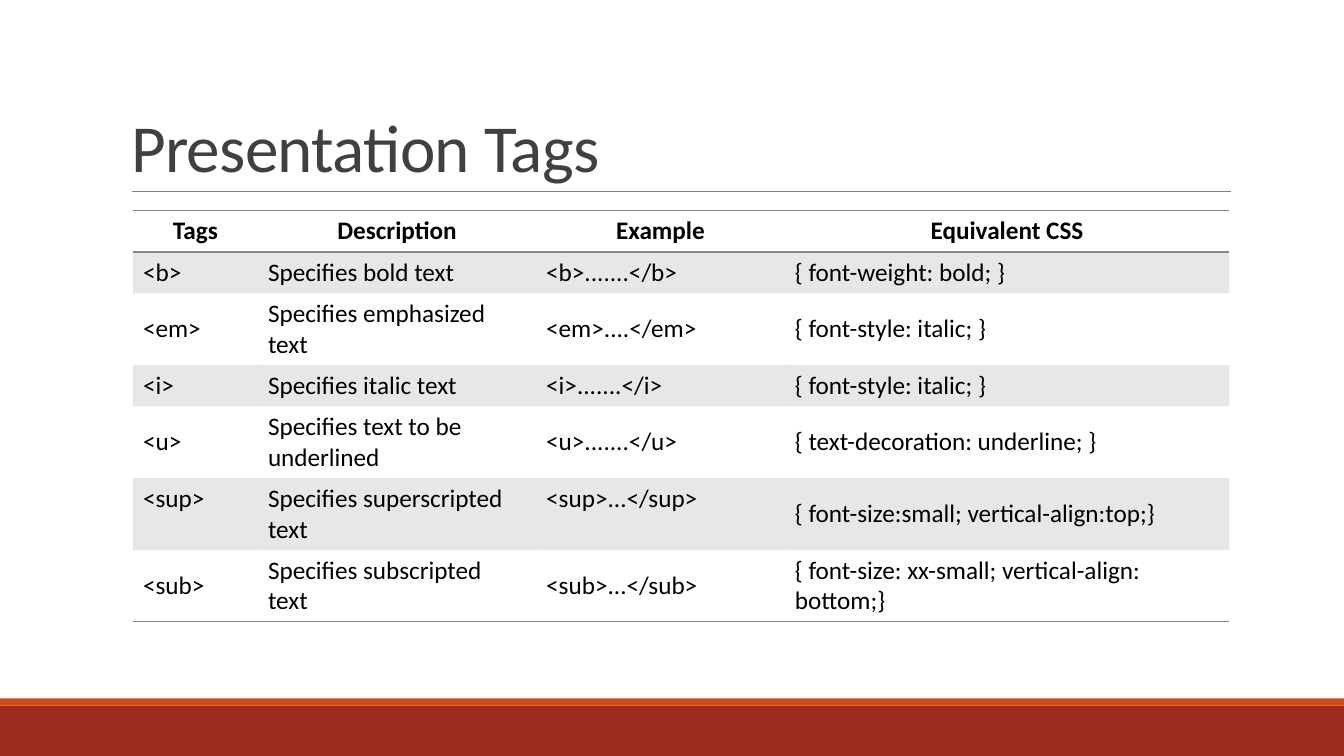
from typing import NamedTuple

from lxml import etree
from pptx import Presentation
from pptx.dml.color import RGBColor
from pptx.enum.shapes import MSO_CONNECTOR, MSO_SHAPE
from pptx.enum.text import MSO_ANCHOR, MSO_AUTO_SIZE, PP_ALIGN
from pptx.oxml import parse_xml
from pptx.oxml.ns import nsdecls, qn
from pptx.util import Cm, Pt

RECT = MSO_SHAPE.RECTANGLE
STRAIGHT = MSO_CONNECTOR.STRAIGHT
TOP, MIDDLE, BOTTOM = MSO_ANCHOR.TOP, MSO_ANCHOR.MIDDLE, MSO_ANCHOR.BOTTOM
LEFT, CENTER = PP_ALIGN.LEFT, PP_ALIGN.CENTER
NO_AUTOFIT = MSO_AUTO_SIZE.NONE

DARK_RED = RGBColor(0x9B, 0x2D, 0x1F)
ORANGE = RGBColor(0xD3, 0x48, 0x17)
GRAY = RGBColor(0x80, 0x80, 0x80)
TITLE_GRAY = RGBColor(0x40, 0x40, 0x40)
BLACK = RGBColor(0, 0, 0)
TAUPE = RGBColor(0x91, 0x84, 0x85)

FONT = "Calibri"
PLAIN_TABLE_STYLE = "{2D5ABB26-0587-4C30-8999-92F81FD0307C}"
BAND_ALPHA = 20000
BORDER_WIDTH = Pt(1)
ONE_LINE, TWO_LINES = 1.04, 1.81


class Bar(NamedTuple):
    top: float
    height: float
    color: RGBColor


class Row(NamedTuple):
    texts: tuple[str, str, str, str]
    height: float
    anchors: tuple = (MIDDLE,) * 4


BARS = [Bar(17.78, 1.27, DARK_RED), Bar(17.6, 0.18, ORANGE)]
COLUMN_WIDTHS = [3.15, 7.01, 6.27, 11.2]
ROWS = [
    Row(("Tags", "Description", "Example", "Equivalent CSS"), ONE_LINE, (TOP,) * 4),
    Row(("<b>", "Specifies bold text", "<b>.......</b>",
         "{ font-weight: bold; }"), ONE_LINE),
    Row(("<em>", "Specifies emphasized text", "<em>....</em>",
         "{ font-style: italic; }"), TWO_LINES),
    Row(("<i>", "Specifies italic text", "<i>.......</i>",
         "{ font-style: italic; }"), ONE_LINE),
    Row(("<u>", "Specifies text to be underlined", "<u>.......</u>",
         "{ text-decoration: underline; }"), TWO_LINES),
    Row(("<sup>", "Specifies superscripted text", "<sup>...</sup>",
         "{ font-size:small; vertical-align:top;}"), TWO_LINES,
        (TOP, MIDDLE, TOP, MIDDLE)),
    Row(("<sub>", "Specifies subscripted text", "<sub>...</sub>",
         "{ font-size: xx-small; vertical-align: bottom;}"), TWO_LINES),
]
TITLE_FORMAT = {"name": FONT, "size": Pt(48), "bold": False}
HEADER_FORMAT = {"name": FONT, "size": Pt(18), "bold": True}
BODY_FORMAT = HEADER_FORMAT | {"bold": False}


def set_attrs(obj, values: dict) -> None:
    for name, value in values.items():
        setattr(obj, name, value)


def add_bar(slide, bar: Bar, width: int) -> None:
    sp = slide.shapes.add_shape(RECT, 0, Cm(bar.top), width, Cm(bar.height))
    sp.shadow.inherit = False
    sp.fill.solid()
    sp.fill.fore_color.rgb = bar.color
    sp.line.fill.background()


def add_rule(slide, left: float, right: float, y: float) -> None:
    line = slide.shapes.add_connector(STRAIGHT, Cm(left), Cm(y), Cm(right), Cm(y))
    line.line.color.rgb = GRAY
    line.line.width = Pt(0.5)
    etree.SubElement(line._element.spPr, qn("a:effectLst"))


def fill_title(title, text: str) -> None:
    set_attrs(title, {"left": Cm(3.05), "top": Cm(0.79),
                      "width": Cm(27.94), "height": Cm(4.04)})
    tf = title.text_frame
    set_attrs(tf, {"vertical_anchor": BOTTOM, "word_wrap": True,
                   "auto_size": NO_AUTOFIT})
    p = tf.paragraphs[0]
    set_attrs(p, {"alignment": LEFT, "line_spacing": 0.85})
    r = p.add_run()
    r.text = text
    set_attrs(r.font, TITLE_FORMAT)
    r.font.color.rgb = TITLE_GRAY
    r._r.get_or_add_rPr().set("spc", "-50")


def add_border(cell, side: str) -> None:
    cell._tc.get_or_add_tcPr().append(parse_xml(
        f'<a:{side} {nsdecls("a")} w="{BORDER_WIDTH}"><a:solidFill>'
        f'<a:srgbClr val="{TAUPE}"/></a:solidFill></a:{side}>'))


def shade(cell) -> None:
    cell.fill.solid()
    cell.fill.fore_color.rgb = TAUPE
    color = cell._tc.tcPr.find(f'{qn("a:solidFill")}/{qn("a:srgbClr")}')
    etree.SubElement(color, qn("a:alpha")).set("val", str(BAND_ALPHA))


def fill_cell(cell, text: str, anchor, row_index: int) -> None:
    is_header = row_index == 0
    cell.vertical_anchor = anchor
    p = cell.text_frame.paragraphs[0]
    p.alignment = CENTER if is_header else LEFT
    r = p.add_run()
    r.text = text
    set_attrs(r.font, HEADER_FORMAT if is_header else BODY_FORMAT)
    r.font.color.rgb = BLACK
    if is_header:
        add_border(cell, "lnT")
    if is_header or row_index == len(ROWS) - 1:
        add_border(cell, "lnB")
    if row_index % 2:
        shade(cell)
    else:
        cell.fill.background()


def add_tag_table(slide, left: float, top: float) -> None:
    frame = slide.shapes.add_table(
        len(ROWS), len(COLUMN_WIDTHS), Cm(left), Cm(top),
        Cm(sum(COLUMN_WIDTHS)), Cm(sum(row.height for row in ROWS)))
    table = frame.table
    table._tbl.tblPr.find(qn("a:tableStyleId")).text = PLAIN_TABLE_STYLE
    for column, width in zip(table.columns, COLUMN_WIDTHS):
        column.width = Cm(width)
    for i, row in enumerate(ROWS):
        table.rows[i].height = Cm(row.height)
        for j, (text, anchor) in enumerate(zip(row.texts, row.anchors)):
            fill_cell(table.cell(i, j), text, anchor, i)


# Slide
prs = Presentation()
prs.slide_width, prs.slide_height = Cm(33.87), Cm(19.05)
slide = prs.slides.add_slide(prs.slide_layouts[5])

# Footer bars and title rule
for bar in BARS:
    add_bar(slide, bar, prs.slide_width)
add_rule(slide, 3.33, 31.01, 4.83)

# Title and table
fill_title(slide.shapes.title, "Presentation Tags")
add_tag_table(slide, 3.35, 5.31)

prs.save("out.pptx")
